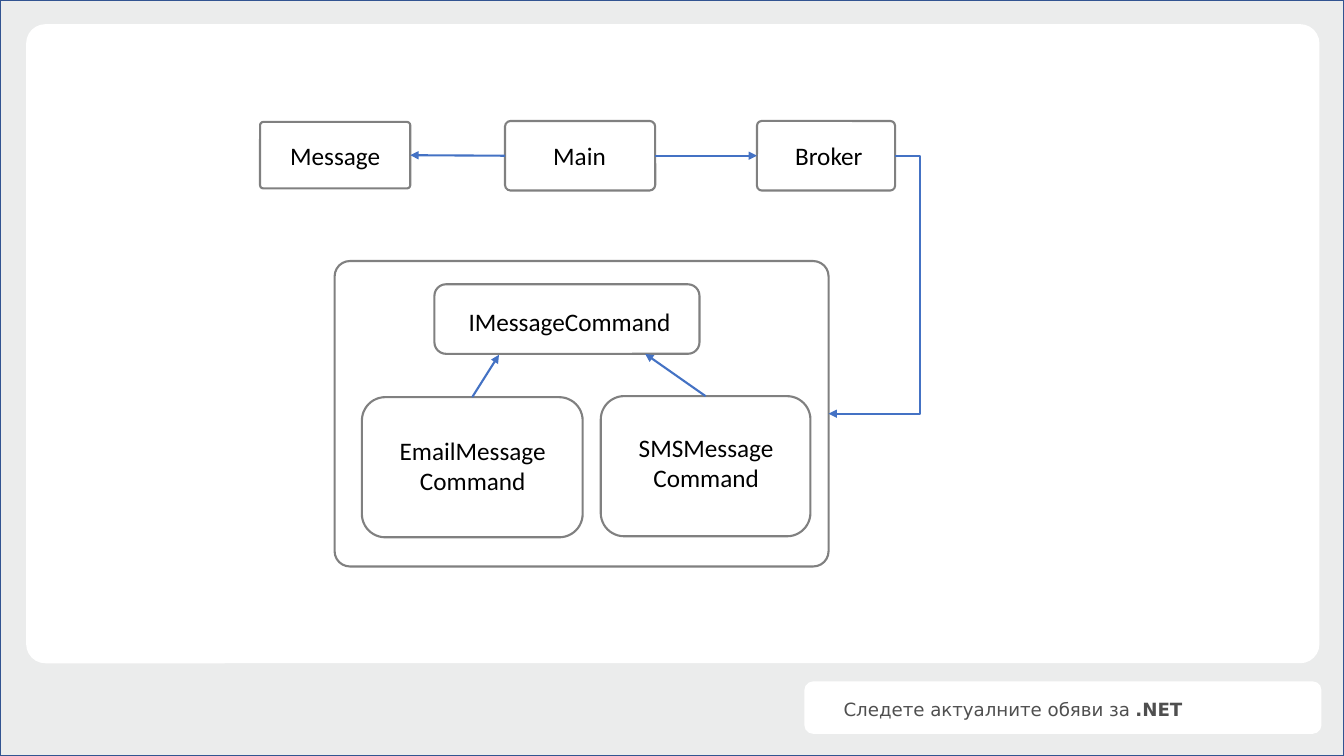
import pptx
import pptx.util
import pptx.dml.color
import pptx.enum.shapes
import pptx.enum.text
import lxml.etree
from dataclasses import dataclass

CELL = pptx.util.Inches(0.1)  # side of one grid cell
COLS, ROWS = 133.33, 75
KIND = pptx.enum.shapes.MSO_SHAPE
LINK = pptx.enum.shapes.MSO_CONNECTOR
ALIGN = pptx.enum.text.PP_ALIGN
NS = "{http://schemas.openxmlformats.org/drawingml/2006/main}"
TOP, LEFT, BOTTOM, RIGHT = range(4)


@dataclass(frozen=True)
class Theme:
    page: str = "EBECEC"
    edge: str = "325491"
    card: str = "FFFFFF"
    frame: str = "808080"
    arrow: str = "4472C4"
    ink: str = "000000"
    note: str = "4F4F4F"
    font: str = "Calibri"
    foot: str = "DejaVu Sans"
    size: float = 18
    small: float = 13
    thin: float = 1
    line: float = 1.5


THEME = Theme()


def cells(*nums):
    return [round(num * CELL) for num in nums]


def color(code):
    return pptx.dml.color.RGBColor.from_string(code)


def box(slide, area, fill=None, line=None, width=THEME.line, bend=None):
    """Draw a rectangle; bend is the corner share, 0 for square corners."""
    kind = KIND.RECTANGLE if bend == 0 else KIND.ROUNDED_RECTANGLE
    shape = slide.shapes.add_shape(kind, *cells(*area))
    shape.shadow.inherit = False
    if bend:
        shape.adjustments[0] = bend
    if fill:
        shape.fill.solid()
        shape.fill.fore_color.rgb = color(fill)
    else:
        shape.fill.background()
    if line:
        shape.line.color.rgb = color(line)
        shape.line.width = pptx.util.Pt(width)
    else:
        shape.line.fill.background()
    return shape


def label(slide, area, text, align=ALIGN.LEFT, wrap=True,
          font=THEME.font, size=THEME.size, ink=THEME.ink):
    frame = slide.shapes.add_textbox(*cells(*area)).text_frame
    frame.word_wrap = wrap
    para = frame.paragraphs[0]
    para.text = text
    para.alignment = align
    para.font.name = font
    para.font.size = pptx.util.Pt(size)
    para.font.color.rgb = color(ink)
    return para


def node(slide, area, text, spot, bend=None, **style):
    shape = box(slide, area, line=THEME.frame, bend=bend)
    label(slide, spot, text, **style)
    return shape


def arrow(slide, start, side, goal, end=None, kind=LINK.STRAIGHT):
    """Link a side of start to a side of goal, or to a grid point."""
    x, y = cells(*goal) if end is None else (0, 0)
    link = slide.shapes.add_connector(kind, 0, 0, x, y)
    link.begin_connect(start, side)
    if end is not None:
        link.end_connect(goal, end)
    link.line.color.rgb = color(THEME.arrow)
    link.line.width = pptx.util.Pt(THEME.line)
    ln = link.line._get_or_add_ln()
    lxml.etree.SubElement(ln, NS + "tailEnd", type="triangle")
    lxml.etree.SubElement(link._element.spPr, NS + "effectLst")
    return link


def bow(link, share):
    """Place the middle leg of an elbow at a share of its width."""
    geom = link._element.spPr.find(NS + "prstGeom")
    guides = geom.find(NS + "avLst")
    if guides is None:
        guides = lxml.etree.SubElement(geom, NS + "avLst")
    lxml.etree.SubElement(guides, NS + "gd", name="adj1",
                          fmla=f"val {round(share * 100000)}")


def base(slide):
    # Page, main card and footer
    box(slide, (0, 0, COLS, ROWS), THEME.page, THEME.edge, THEME.thin, 0)
    box(slide, (2.6, 2.4, 128.3, 63.4), THEME.card, bend=0.03)
    box(slide, (79.8, 67.6, 51.3, 5.2), THEME.card)
    para = label(slide, (82.7, 68.4, 40.1, 3.4), "Следете актуалните обяви за ",
                 font=THEME.foot, size=THEME.small, ink=THEME.note)
    para.line_spacing = 1.2
    para.add_run().text = ".NET"
    para.runs[-1].font.bold = True


def chart(slide):
    # Top row of classes
    broker = node(slide, (75.1, 12, 13.7, 6.9), "Broker",
                  (77.9, 13.4, 8.8, 4), 0.07)
    group = box(slide, (33.2, 25.9, 49, 30.3), line=THEME.frame, bend=0.05)
    note = node(slide, (25.8, 12.1, 14.9, 6.6), "Message",
                (27.8, 13.4, 11, 4), 0.05, wrap=False)
    main_box = node(slide, (50.1, 12, 14.9, 6.9), "Main",
                    (53.9, 13.4, 7.3, 4), 0.08, wrap=False)

    # Commands
    email = node(slide, (35.9, 39.4, 21.9, 13.9), "EmailMessage Command",
                 (38.6, 42.7, 16.6, 7.1), align=ALIGN.CENTER)
    sms = node(slide, (59.6, 39.3, 20.8, 13.9), "SMSMessage Command",
               (62.3, 42.4, 15.5, 7.1), align=ALIGN.CENTER)
    node(slide, (43.1, 28.2, 26.3, 6.9), "IMessageCommand",
         (45.5, 29.9, 22.4, 4))

    # Arrows
    arrow(slide, email, TOP, (49.5, 35.2))
    arrow(slide, sms, TOP, (64, 35.1))
    arrow(slide, main_box, LEFT, note, RIGHT)
    arrow(slide, main_box, RIGHT, broker, LEFT)
    bow(arrow(slide, broker, RIGHT, group, RIGHT, LINK.ELBOW), -0.38)


def main():
    deck = pptx.Presentation()
    deck.slide_width, deck.slide_height = cells(COLS, ROWS)
    slide = deck.slides.add_slide(deck.slide_layouts[6])
    base(slide)
    chart(slide)
    deck.save("out.pptx")


if __name__ == "__main__":
    main()
